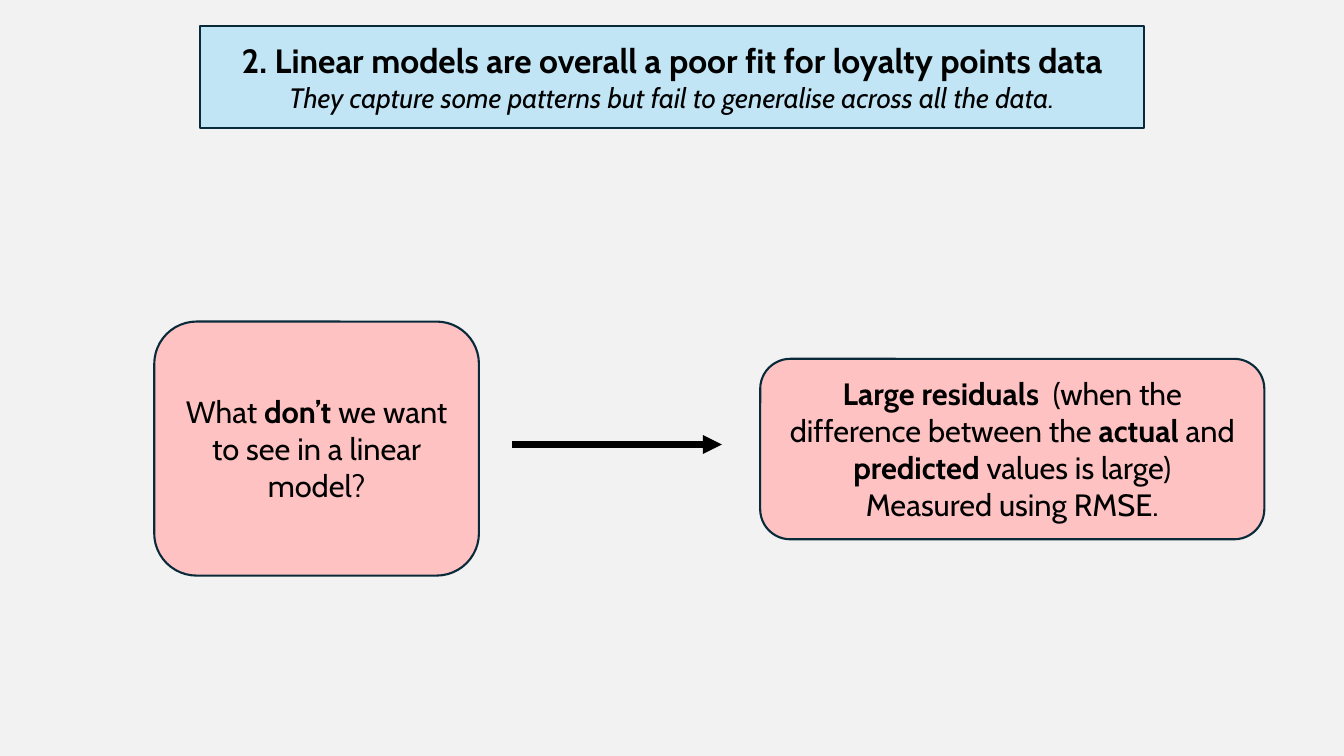
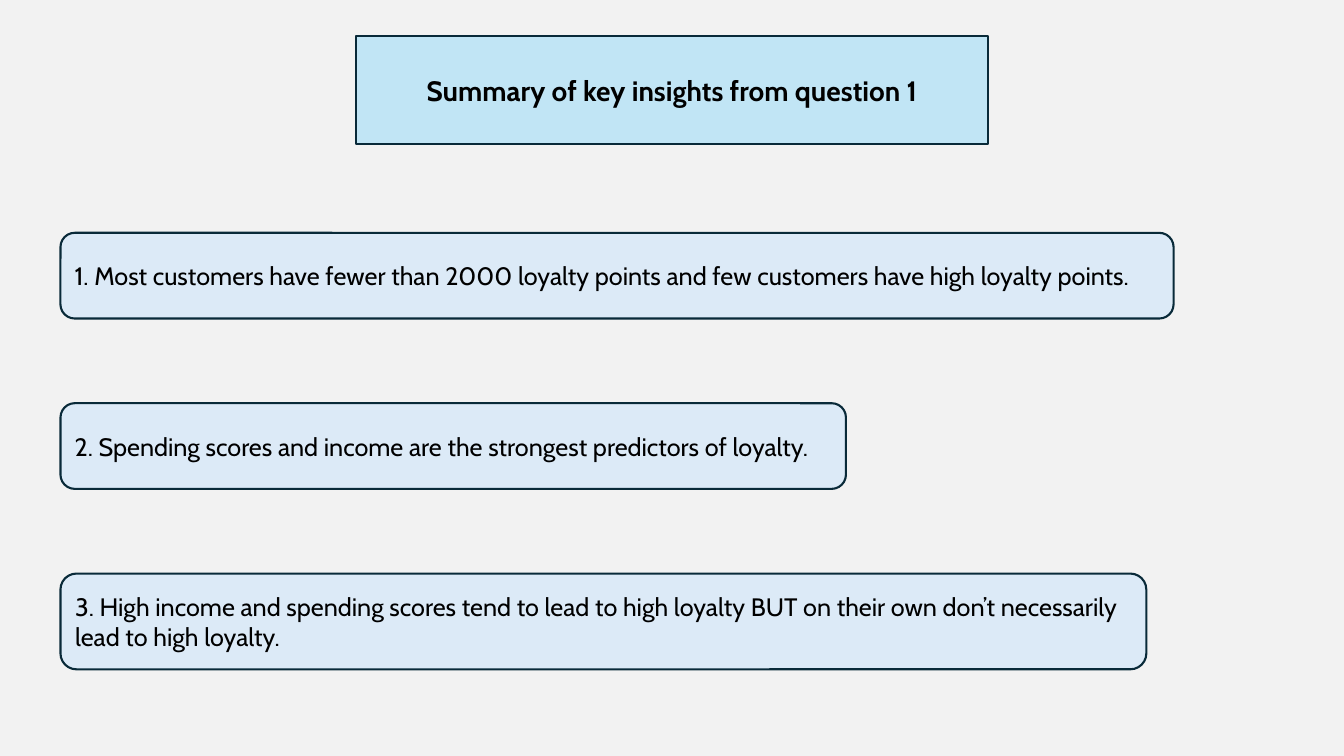
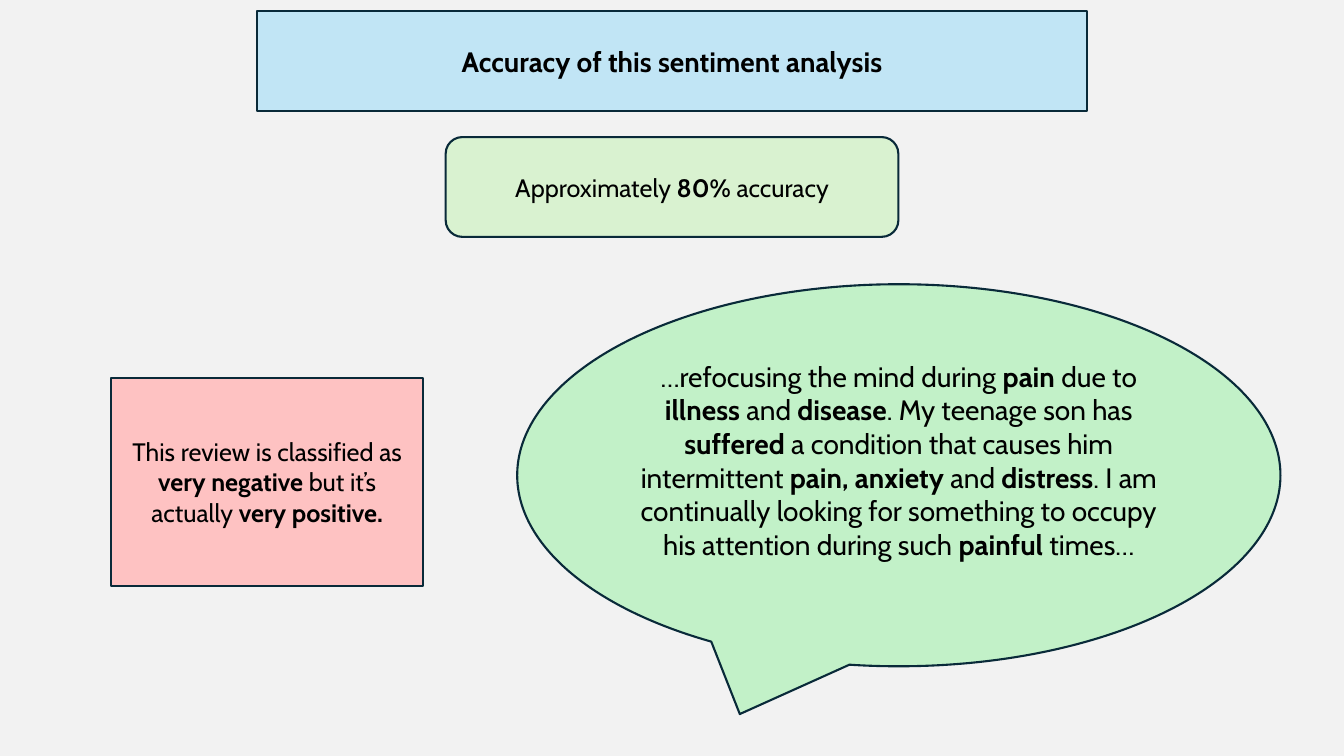
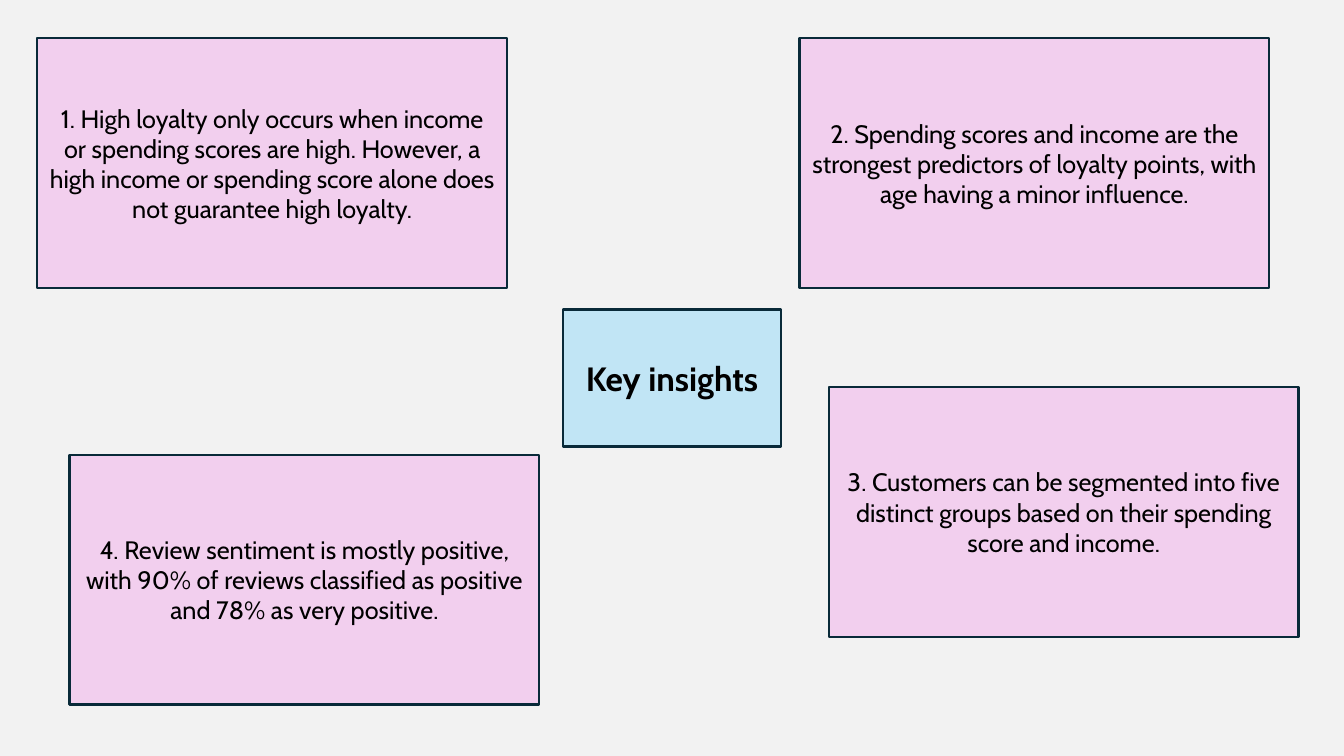
from pptx import Presentation
from pptx.dml.color import RGBColor
from pptx.enum.shapes import MSO_CONNECTOR as Connector, MSO_SHAPE as Preset
from pptx.enum.text import MSO_ANCHOR as Anchor, MSO_AUTO_SIZE as AutoSize, PP_ALIGN as Align
from pptx.oxml.ns import qn
from pptx.util import Inches, Pt
from lxml.etree import SubElement

WIDTH, HEIGHT = 13.33, 7.5
FONT = "Cabin"
BACKGROUND, OUTLINE, BLACK = "F2F2F2", "092A39", "000000"
BLUE, PALE_BLUE, RED, PINK = "C1E5F5", "DCEAF7", "FEC2C2", "F2CFEE"
PALE_GREEN, GREEN = "D9F2D0", "C2F1C8"


def color(value):
    return RGBColor.from_string(value)


def centered(width):
    """Left edge that centres a box of this width on the slide."""
    return (WIDTH - width) / 2


class Slides:
    """Shared style, and the slide being built."""

    def __init__(self):
        self.deck = Presentation()
        self.deck.slide_width = Inches(WIDTH)
        self.deck.slide_height = Inches(HEIGHT)
        background = self.deck.slide_master.background.fill
        background.solid()
        background.fore_color.rgb = color(BACKGROUND)
        self.page = None

    def new_page(self):
        self.page = self.deck.slides.add_slide(self.deck.slide_layouts[5])

    def paint(self, shape, fill):
        shape.fill.solid()
        shape.fill.fore_color.rgb = color(fill)
        shape.line.color.rgb = color(OUTLINE)
        shape.line.width = Pt(1.5)

    def fill_paragraph(self, para, text, size, align=Align.CENTER, bold=False, italic=False):
        """Fill a paragraph; parts between ** marks are bold."""
        para.alignment = align
        font = para.font
        font.name, font.size = FONT, Pt(size)
        font.bold, font.italic = bold, italic
        font.color.rgb = color(BLACK)
        for index, part in enumerate(text.split("**")):
            if part:
                span = para.add_run()
                span.text = part
                if index % 2:
                    span.font.bold = True

    def title(self, text, top, width, height, size=20, subtitle=None):
        box = self.page.shapes.title
        box.left, box.top = Inches(centered(width)), Inches(top)
        box.width, box.height = Inches(width), Inches(height)
        # The geometry goes ahead of fill and line in the shape properties
        outline = SubElement(box.element.spPr, qn("a:prstGeom"), prst="roundRect")
        SubElement(outline, qn("a:avLst"))
        self.paint(box, BLUE)
        frame = box.text_frame
        frame.word_wrap, frame.auto_size = True, AutoSize.NONE
        frame.vertical_anchor = Anchor.MIDDLE
        self.fill_paragraph(frame.paragraphs[0], text, size, bold=True)
        if subtitle:
            self.fill_paragraph(frame.add_paragraph(), subtitle, 20, italic=True)

    def box(self, lines, left, top, width, height, fill, size=18,
            preset=Preset.ROUNDED_RECTANGLE, align=Align.CENTER):
        box = self.page.shapes.add_shape(
            preset, Inches(left), Inches(top), Inches(width), Inches(height))
        box.shadow.inherit = False
        self.paint(box, fill)
        frame = box.text_frame
        frame.word_wrap = True
        frame.vertical_anchor = Anchor.MIDDLE
        for index, line in enumerate(lines):
            para = frame.add_paragraph() if index else frame.paragraphs[0]
            self.fill_paragraph(para, line, size, align)
        return box

    def arrow(self, start, end, y):
        arrow = self.page.shapes.add_connector(
            Connector.STRAIGHT, Inches(start), Inches(y), Inches(end), Inches(y))
        arrow.line.color.rgb = color(BLACK)
        arrow.line.width = Pt(4.5)
        properties = arrow.element.spPr
        SubElement(properties.find(qn("a:ln")), qn("a:tailEnd"), type="triangle")
        SubElement(properties, qn("a:effectLst"))


def linear_models(slides):
    slides.new_page()
    slides.title("2. Linear models are overall a poor fit for loyalty points data",
                 0.26, 9.36, 1.01, size=24,
                 subtitle="They capture some patterns but fail to generalise across all the data.")
    slides.box(["What **don’t **we want to see in a linear model?"],
               1.53, 3.19, 3.22, 2.52, RED, size=22)
    slides.box(["**Large residuals**  (when the difference between the **actual** and "
                "**predicted **values is large)",
                "Measured using RMSE."],
               7.54, 3.56, 5, 1.79, RED, size=22)
    slides.arrow(5.08, 7.16, 4.41)


def question_summary(slides):
    slides.new_page()
    slides.title("Summary of key insights from question 1", 0.36, 6.27, 1.07)
    insights = [
        ("1. Most customers have fewer than 2000 loyalty points and few customers "
         "have high loyalty points.", 11.04, 0.85),
        ("2. Spending scores and income are the strongest predictors of loyalty.", 7.79, 0.85),
        ("3. High income and spending scores tend to lead to high loyalty BUT on their own "
         "don’t necessarily lead to high loyalty.", 10.77, 0.95),
    ]
    for index, (text, width, height) in enumerate(insights):
        slides.box([text], 0.6, 2.31 + 1.69 * index, width, height, PALE_BLUE,
                   align=Align.LEFT)


def sentiment_accuracy(slides):
    slides.new_page()
    slides.title("Accuracy of this sentiment analysis", 0.11, 8.24, 0.99)
    slides.box(["Approximately **80%** accuracy"],
               centered(4.49), 1.36, 4.49, 0.99, PALE_GREEN)
    review = slides.box(
        ["…refocusing the mind during **pain** due to **illness** and **disease**. "
         "My teenage son has **suffered** a condition that causes him intermittent "
         "**pain, anxiety** and **distress**. I am continually looking for something to "
         "occupy his attention during such **painful** times…"],
        5.13, 2.82, 7.57, 3.79, GREEN, size=20, preset=Preset.OVAL_CALLOUT)
    review.text_frame.margin_bottom = Inches(0.35)
    slides.box(["This review is classified as **very negative** but it’s actually "
                "**very positive.**"],
               1.1, 3.75, 3.1, 2.06, RED, preset=Preset.RECTANGLE)


def key_insights(slides):
    slides.new_page()
    slides.title("Key insights", 3.07, 2.17, 1.36, size=24)
    insights = [
        ("1. High loyalty only occurs when income or spending scores are high. However, "
         "a high income or spending score alone does not guarantee high loyalty.", 0.37, 0.38),
        ("2. Spending scores and income are the strongest predictors of loyalty points, "
         "with age having a minor influence.", 7.93, 0.38),
        ("3. Customers can be segmented into five distinct groups based on their spending "
         "score and income.", 8.22, 3.84),
        ("4. Review sentiment is mostly positive, with 90% of reviews classified as positive "
         "and 78% as very positive.", 0.69, 4.51),
    ]
    for text, left, top in insights:
        slides.box([text], left, top, 4.66, 2.48, PINK, preset=Preset.RECTANGLE)


def main():
    slides = Slides()
    for build in (linear_models, question_summary, sentiment_accuracy, key_insights):
        build(slides)
    slides.deck.save("out.pptx")


if __name__ == "__main__":
    main()
